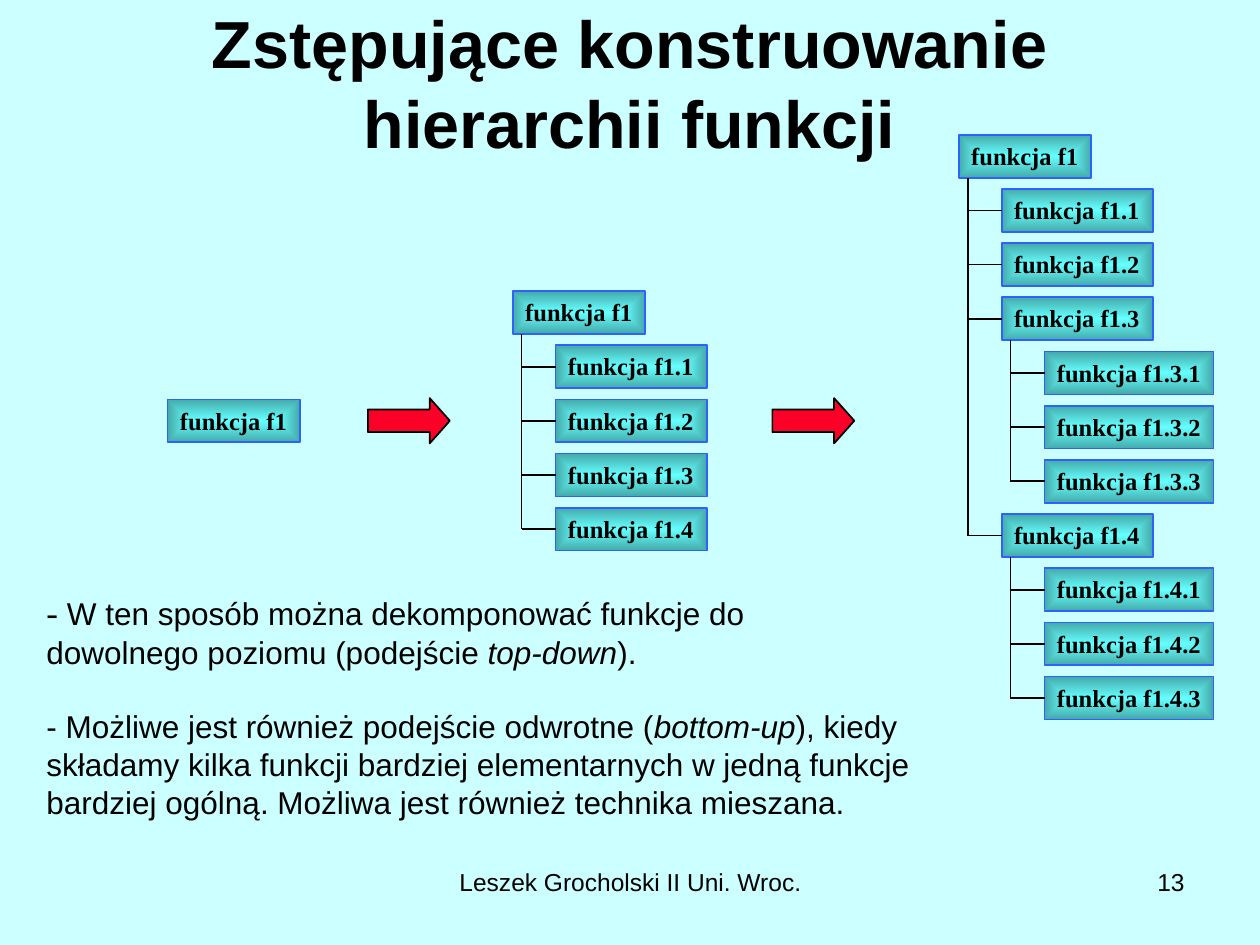
from lxml import etree
from pptx import Presentation
from pptx.dml.color import RGBColor
from pptx.enum import shapes, text
from pptx.oxml.ns import qn
from pptx.util import Inches, Pt

BACKGROUND = RGBColor(0xCC, 0xFF, 0xFF)
BLACK = RGBColor(0, 0, 0)
BOX_CENTRE = RGBColor(0x66, 0xFF, 0xFF)
BOX_EDGE = RGBColor(0x44, 0xAA, 0xAA)
BOX_LINE = RGBColor(0x2F, 0x61, 0xFF)
ARROW_RED = RGBColor(0xFC, 0x01, 0x28)

ROW_STEP = 0.43
INDENT = 0.34
BOX_HEIGHT = 0.34
BOX_WIDTHS = (1.05, 1.2, 1.34)  # by depth in the hierarchy
TRUNK_OFFSET = 0.07

FIRST_STEP = ["1"]
SECOND_STEP = ["1", "1.1", "1.2", "1.3", "1.4"]
THIRD_STEP = ["1", "1.1", "1.2", "1.3", "1.3.1", "1.3.2", "1.3.3",
              "1.4", "1.4.1", "1.4.2", "1.4.3"]

REMARKS = [
    [("- ", {"size": 20, "font": "Times New Roman"}),
     ("W ten sposób można dekomponować funkcje do", {})],
    [("dowolnego poziomu (podejście ", {}), ("top-down", {"italic": True}), (").", {})],
    [("- Możliwe jest również podejście odwrotne (", {}),
     ("bottom-up", {"italic": True}),
     ("), kiedy składamy kilka funkcji bardziej elementarnych w jedną funkcje "
      "bardziej ogólną. Możliwa jest również technika mieszana.", {})],
]


def add_run(paragraph, words, size=18, font="Arial", bold=False, italic=False,
            align=text.PP_ALIGN.LEFT):
    paragraph.alignment = align
    run = paragraph.add_run()
    run.text = words
    run.font.size = Pt(size)
    run.font.name = font
    run.font.bold = bold
    run.font.italic = italic
    run.font.color.rgb = BLACK


def add_text_frame(slide, left, top, width, height):
    frame = slide.shapes.add_textbox(
        Inches(left), Inches(top), Inches(width), Inches(height)).text_frame
    frame.word_wrap = True
    return frame


def fill_from_centre(shape):
    """Give the shape a rectangular gradient, bright in the middle."""
    shape.fill.gradient()
    for stop, colour in zip(shape.fill.gradient_stops, (BOX_CENTRE, BOX_EDGE)):
        stop.color.rgb = colour
    gradient = shape._element.spPr.find(qn("a:gradFill"))
    gradient.remove(gradient.find(qn("a:lin")))
    spread = etree.SubElement(gradient, qn("a:path"), path="rect")
    etree.SubElement(spread, qn("a:fillToRect"),
                     {side: "50000" for side in "ltrb"})


def add_function_box(slide, number, left, top, width):
    box = slide.shapes.add_shape(
        shapes.MSO_SHAPE.ROUNDED_RECTANGLE,
        Inches(left), Inches(top), Inches(width), Inches(BOX_HEIGHT))
    box.adjustments[0] = 0
    box.shadow.inherit = False
    fill_from_centre(box)
    box.line.color.rgb = BOX_LINE
    box.line.width = Pt(1)
    frame = box.text_frame
    frame.word_wrap = False
    frame.auto_size = text.MSO_AUTO_SIZE.NONE
    frame.margin_right = Inches(0.08)
    frame.vertical_anchor = text.MSO_ANCHOR.TOP
    add_run(frame.paragraphs[0], f"funkcja f{number}", size=14,
            font="Times New Roman", bold=True)
    return box


def add_line(slide, x1, y1, x2, y2):
    line = slide.shapes.add_connector(shapes.MSO_CONNECTOR.STRAIGHT, x1, y1, x2, y2)
    line.line.color.rgb = BLACK
    line.line.width = Pt(1)
    etree.SubElement(line._element.spPr, qn("a:effectLst"))
    return line


def add_hierarchy(slide, numbers, left, top):
    """Stack the functions one per row, indented by depth and joined to parents."""
    boxes = {}
    for row, number in enumerate(numbers):
        depth = number.count(".")
        boxes[number] = add_function_box(
            slide, number, left + depth * INDENT, top + row * ROW_STEP,
            BOX_WIDTHS[depth])
    for number, parent in boxes.items():
        children = [box for key, box in boxes.items()
                    if key.rpartition(".")[0] == number]
        if not children:
            continue
        trunk = parent.left + Inches(TRUNK_OFFSET)
        middles = [child.top + child.height // 2 for child in children]
        add_line(slide, trunk, parent.top + parent.height, trunk, middles[-1])
        for child, middle in zip(children, middles):
            add_line(slide, trunk, middle, child.left, middle).end_connect(child, 1)


def add_step_arrow(slide, left):
    arrow = slide.shapes.add_shape(
        shapes.MSO_SHAPE.RIGHT_ARROW,
        Inches(left), Inches(3.16), Inches(0.65), Inches(0.36))
    arrow.adjustments[1] = 0.445
    arrow.shadow.inherit = False
    arrow.fill.solid()
    arrow.fill.fore_color.rgb = ARROW_RED
    arrow.line.color.rgb = BLACK
    arrow.line.width = Pt(1)


def format_title(slide):
    title = slide.shapes.title
    title.left, title.top = Inches(0.5), Inches(0.3)
    title.width, title.height = Inches(9), Inches(0.7)
    frame = title.text_frame
    frame.word_wrap = True
    frame.auto_size = text.MSO_AUTO_SIZE.NONE
    frame.vertical_anchor = text.MSO_ANCHOR.MIDDLE
    add_run(frame.paragraphs[0], "Zstępujące konstruowanie hierarchii funkcji",
            size=38, bold=True, align=text.PP_ALIGN.CENTER)


def add_remarks(slide):
    frame = add_text_frame(slide, 0.27, 4.64, 7.49, 1.94)
    for index, runs in enumerate(REMARKS):
        paragraph = frame.add_paragraph() if index else frame.paragraphs[0]
        for words, style in runs:
            add_run(paragraph, words, **style)
    frame.paragraphs[1].space_after = Pt(21)


def add_footer(slide):
    author = add_text_frame(slide, 3.42, 6.83, 3.17, 0.52)
    add_run(author.paragraphs[0], "Leszek Grocholski II Uni. Wroc.", size=14,
            align=text.PP_ALIGN.CENTER)
    number = add_text_frame(slide, 7.17, 6.83, 2.33, 0.52)
    add_run(number.paragraphs[0], "13", size=14, align=text.PP_ALIGN.RIGHT)


def main():
    deck = Presentation()
    deck.slide_width, deck.slide_height = Inches(10), Inches(7.5)
    slide = deck.slides.add_slide(deck.slide_layouts[5])
    slide.background.fill.solid()
    slide.background.fill.fore_color.rgb = BACKGROUND
    add_footer(slide)
    format_title(slide)
    add_hierarchy(slide, THIRD_STEP, 7.61, 1.07)
    add_hierarchy(slide, SECOND_STEP, 4.07, 2.31)
    add_hierarchy(slide, FIRST_STEP, 1.33, 3.17)
    for left in (2.92, 6.13):
        add_step_arrow(slide, left)
    add_remarks(slide)
    deck.save("out.pptx")


if __name__ == "__main__":
    main()
